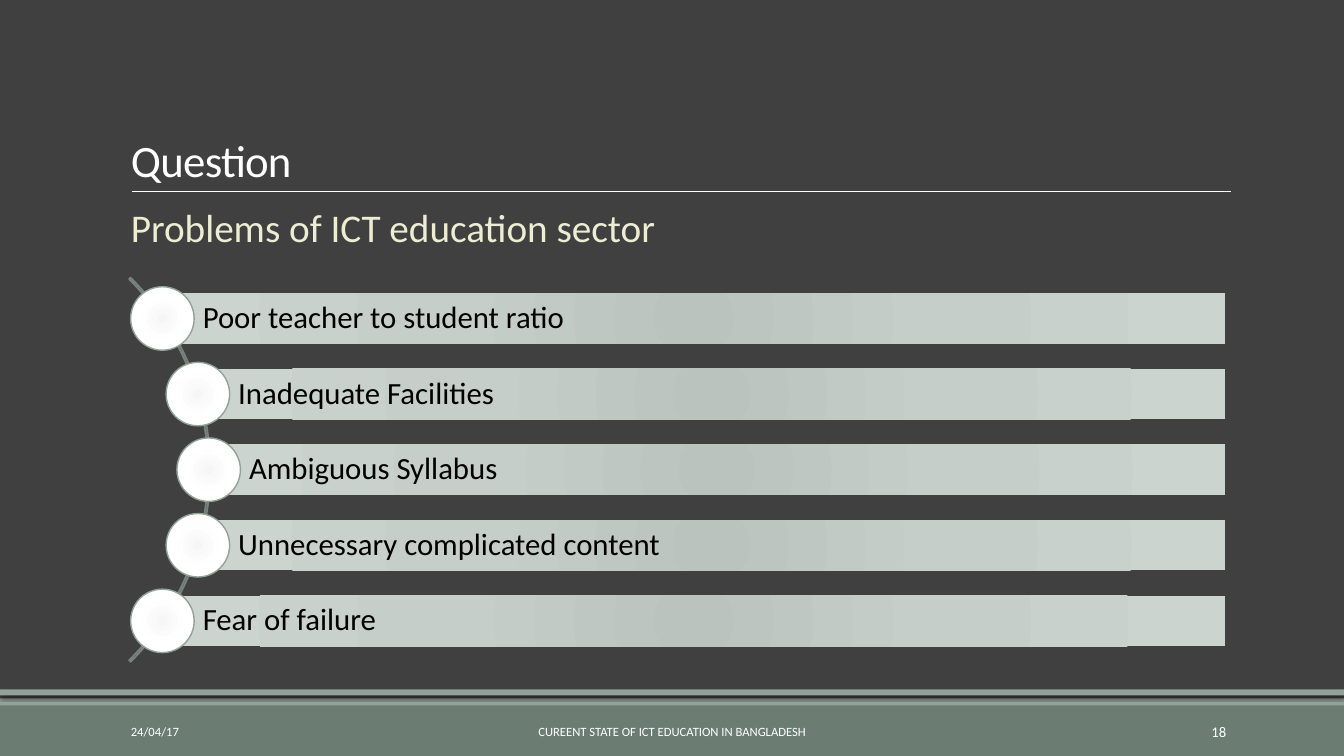
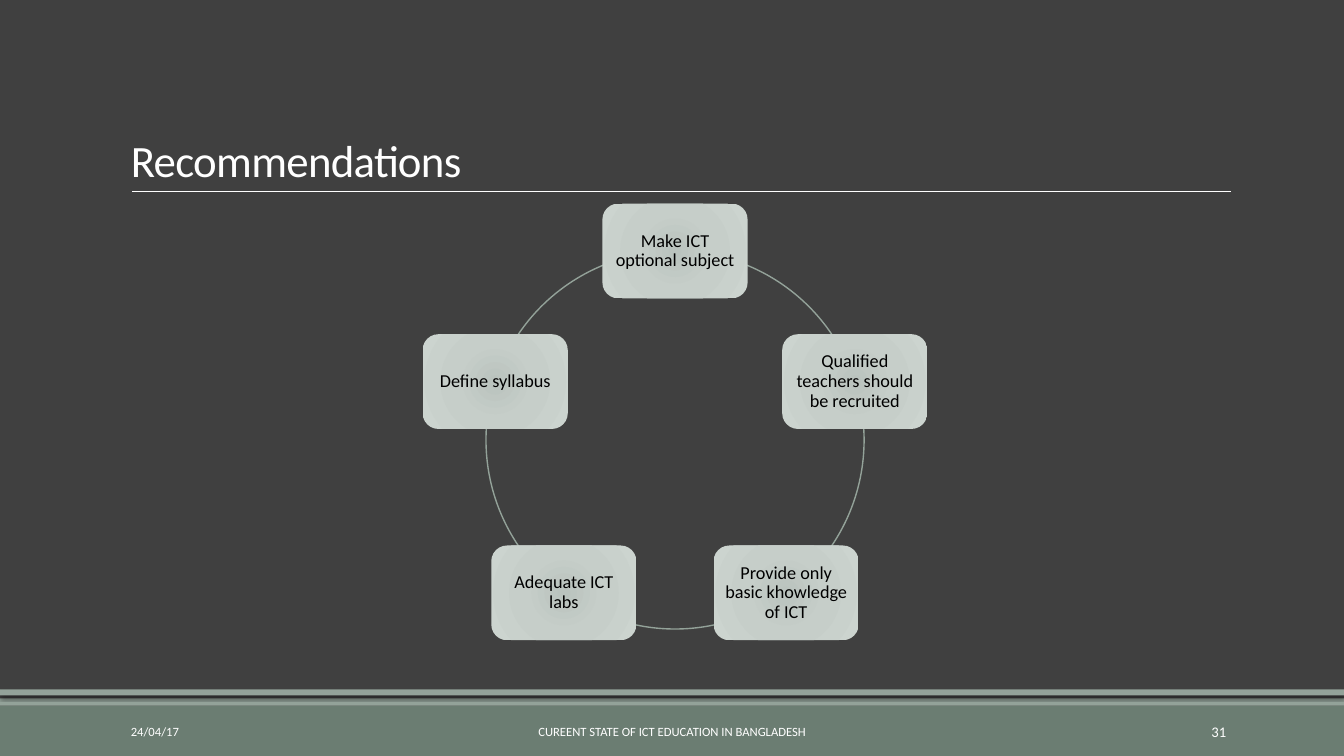
import math
from lxml import etree
from pptx import Presentation
from pptx import util as u
from pptx.dml.color import RGBColor
from pptx.enum import shapes as sh, text as tx
from pptx.oxml.ns import qn

FONT = "Calibri"
DARK, BAND, SAGE, WHITE, BLACK = "404040", "6B7D72", "93A299", "FFFFFF", "000000"
CREAM, ARC = "ECEDD1", "76827B"
PALE = ((0, "BAC3BE"), (45, "C6CEC9"), (100, "CCD4CF"))
PEARL = ((0, "F6F6F6"), (45, "FEFEFE"), (100, "FFFFFF"))
LEFT, MID, RIGHT = tx.PP_ALIGN.LEFT, tx.PP_ALIGN.CENTER, tx.PP_ALIGN.RIGHT
TOP, CORE, LOW = tx.MSO_ANCHOR.TOP, tx.MSO_ANCHOR.MIDDLE, tx.MSO_ANCHOR.BOTTOM
KIND = sh.MSO_SHAPE


def rgb(code):
    """Turn a hex string into a colour."""
    return RGBColor.from_string(code)


def sub(node, tag, **attrs):
    """Append a drawing element to a node."""
    return etree.SubElement(node, qn("a:" + tag), attrs)


def glow(shape, stops):
    """Fill a shape with a circular gradient."""
    shape.fill.background()
    props = shape.element.spPr
    grad = etree.Element(qn("a:gradFill"), rotWithShape="1")
    items = sub(grad, "gsLst")
    for spot, code in stops:
        sub(sub(items, "gs", pos=str(spot * 1000)), "srgbClr", val=code)
    way = sub(grad, "path", path="circle")
    sub(way, "fillToRect", **dict.fromkeys("ltrb", "100000"))
    props.replace(props.find(qn("a:noFill")), grad)


def draw(slide, kind, box, fill=None, line=None, width=1):
    """Add a preset shape; fill is a colour, gradient stops or None."""
    shape = slide.shapes.add_shape(kind, *map(u.Inches, box))
    shape.shadow.inherit = False
    if fill is None:
        shape.fill.background()
    elif isinstance(fill, str):
        shape.fill.solid()
        shape.fill.fore_color.rgb = rgb(fill)
    else:
        glow(shape, fill)
    if line:
        shape.line.color.rgb = rgb(line)
        shape.line.width = u.Pt(width)
    else:
        shape.line.fill.background()
    return shape


def write(shape, words, size, color, align=LEFT, anchor=CORE,
          pad=(0.1, 0.05, 0.1, 0.05), lead=1.0, track=None):
    """Set one paragraph of text in a shape."""
    frame = shape.text_frame
    frame.word_wrap = True
    frame.vertical_anchor = anchor
    (frame.margin_left, frame.margin_top,
     frame.margin_right, frame.margin_bottom) = map(u.Inches, pad)
    para = frame.paragraphs[0]
    para.alignment, para.line_spacing = align, lead
    run = para.add_run()
    run.text = words
    run.font.name, run.font.size = FONT, u.Pt(size)
    run.font.color.rgb = rgb(color)
    if track:
        run.font._element.set("spc", str(track))


def label(slide, box, *args, **opts):
    """Add a text box."""
    write(slide.shapes.add_textbox(*map(u.Inches, box)), *args, **opts)


def footer(slide, box, page):
    """Draw the bands and the footer texts."""
    x, y, w, h = box
    draw(slide, KIND.RECTANGLE, box, BAND)
    draw(slide, KIND.RECTANGLE, (x, y - 0.07, w, 0.07), SAGE)
    strip = draw(slide, KIND.RECTANGLE, (x, y - 0.16, w, 0.06), SAGE)
    shade = sub(strip.element.spPr.find(qn("a:effectLst")), "outerShdw",
                blurRad=str(u.Pt(2)), dist=str(u.Pt(2)), dir="5400000")
    sub(sub(shade, "srgbClr", val=BLACK), "alpha", val="40000")
    for left, wide, words, size, align in (
            (1.2, 2.7, "24/04/17", 9, LEFT),
            (4.03, 5.27, "CUREENT STATE OF ICT EDUCATION IN BANGLADESH", 9, MID),
            (10.83, 1.43, page, 10.5, RIGHT)):
        label(slide, (x + left, y + 0.06, wide, 0.4), words, size, WHITE, align)


def header(slide, box, title):
    """Draw the title and the rule under it."""
    x, y, w, h = box
    label(slide, box, title, 32, WHITE, anchor=LOW, lead=0.85, track=-50)
    rule = slide.shapes.add_connector(
        sh.MSO_CONNECTOR.STRAIGHT,
        *map(u.Inches, (x + 0.11, y + h, x + w + 0.01, y + h)))
    rule.line.color.rgb = rgb(WHITE)
    rule.line.width = u.Pt(0.5)
    sub(rule.element.spPr, "effectLst")


def base(deck, title, page):
    """Start a slide with the shared parts."""
    slide = deck.slides.add_slide(deck.slide_layouts[6])
    back = slide.background.fill
    back.solid()
    back.fore_color.rgb = rgb(DARK)
    footer(slide, (0, 7, 13.33, 0.5), page)
    header(slide, (1.2, 0.31, 11, 1.59), title)
    return slide


def curve(slide, box, items):
    """List items as bars whose dots follow an arc."""
    x, y, w, h = box
    hub, mid, size, dot, bar, step = x - 1.89, y + h / 2, 5.39, 0.63, 0.5, 0.75
    arc = draw(slide, KIND.BLOCK_ARC,
               (hub - size / 2, mid - size / 2, size, size), None, ARC, 1.25)
    for spot, value in enumerate((189, 27, 0.004)):
        arc.adjustments[spot] = value
    for row, words in enumerate(items):
        drop = (row - (len(items) - 1) / 2) * step
        left, level = hub + math.sqrt(2.68 ** 2 - drop ** 2), mid + drop
        strip = draw(slide, KIND.RECTANGLE,
                     (left, level - bar / 2, x + w - left, bar), PALE)
        write(strip, words, 22, BLACK, pad=(0.4, 0.06, 0.06, 0.06), lead=0.9)
        draw(slide, KIND.OVAL, (left - dot / 2, level - dot / 2, dot, dot),
             PEARL, SAGE)


def ring(slide, box, items):
    """Space items evenly on a circle, clockwise from the top."""
    x, y, size, _ = box
    wide, high, rad = 1.44, 0.94, size / 2
    draw(slide, KIND.OVAL, box, None, SAGE)
    for spot, words in enumerate(items):
        turn = math.tau * spot / len(items)
        left = x + rad + rad * math.sin(turn) - wide / 2
        top = y + rad - rad * math.cos(turn) - high / 2
        node = draw(slide, KIND.ROUNDED_RECTANGLE, (left, top, wide, high), PALE)
        write(node, words, 13, BLACK, MID, pad=(0.05,) * 4, lead=0.9)


def main():
    """Build and save the deck."""
    deck = Presentation()
    deck.slide_width, deck.slide_height = u.Inches(13.33), u.Inches(7.5)
    slide = base(deck, "Question", "18")
    label(slide, (1.2, 2.02, 11, 0.6), "Problems of ICT education sector",
          28, CREAM, anchor=TOP, lead=0.9)
    curve(slide, (1.28, 2.75, 10.87, 3.82), (
        "Poor teacher to student ratio", "Inadequate Facilities",
        "Ambiguous Syllabus", "Unnecessary complicated content",
        "Fear of failure"))
    slide = base(deck, "Recommendations", "31")
    ring(slide, (4.82, 2.49, 3.75, 3.75), (
        "Make ICT optional subject", "Qualified teachers should be recruited",
        "Provide only basic khowledge of ICT", "Adequate ICT labs",
        "Define syllabus"))
    deck.save("out.pptx")


main()
